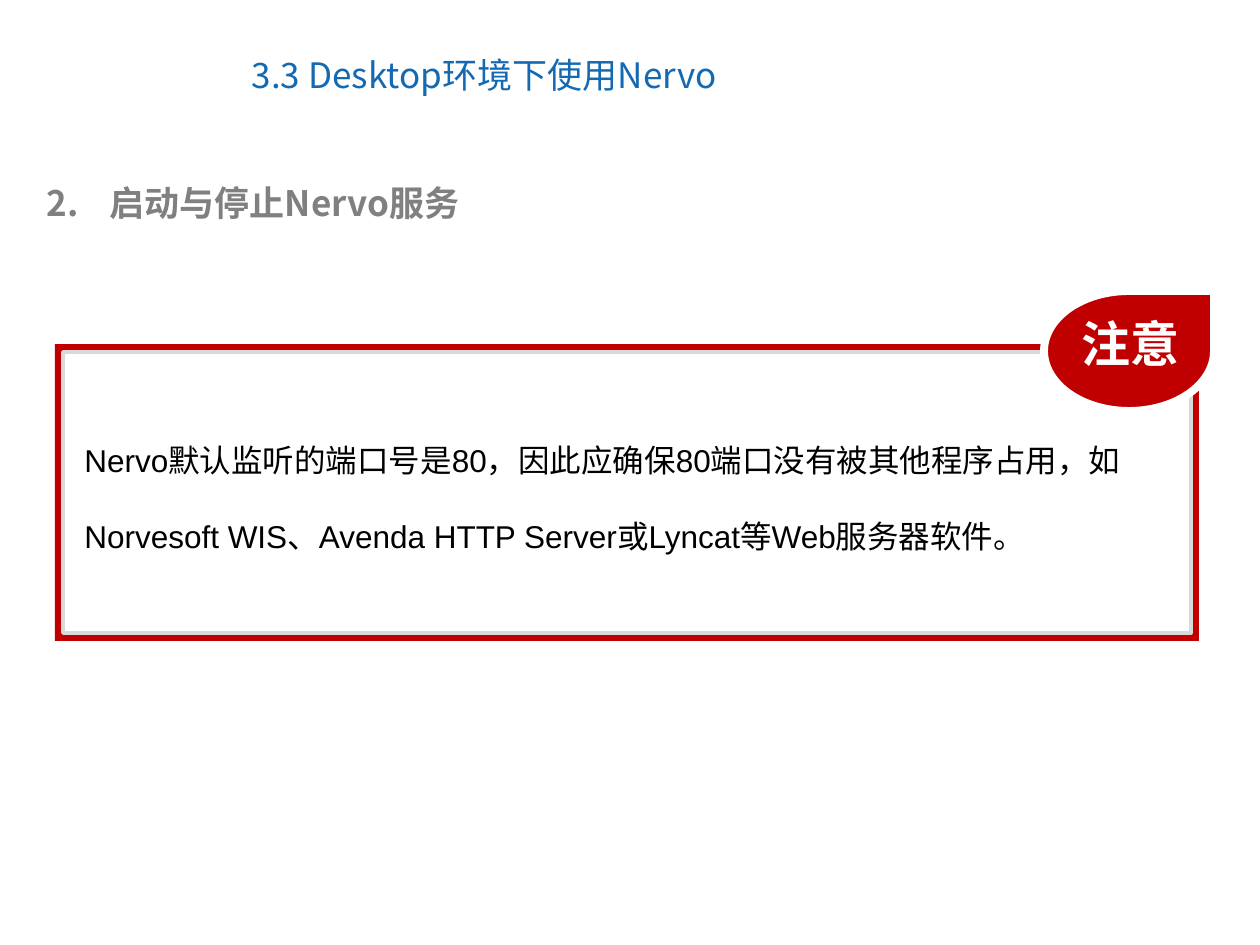
from lxml.etree import SubElement
from pptx import Presentation
from pptx.dml.color import RGBColor
from pptx.enum.shapes import MSO_SHAPE
from pptx.enum.text import MSO_ANCHOR, MSO_AUTO_SIZE, PP_ALIGN
from pptx.oxml.ns import qn
from pptx.util import Emu, Pt

EMU_PER_PX = 914400 / 126
CJK = "Noto Sans CJK SC"
COLORS = {
    "title": "1369B2",
    "heading": "808080",
    "alert": "C00000",
    "paper": "FFFFFF",
    "edge": "D9D9D9",
    "ink": "000000",
}


def px(length):
    return Emu(round(length * EMU_PER_PX))


def color(name):
    return RGBColor.from_string(COLORS[name])


def place(shape, left, top, width, height):
    shape.left, shape.top = px(left), px(top)
    shape.width, shape.height = px(width), px(height)


def write(frame, text, size, ink, font=CJK, bold=False, wrap=True):
    frame.word_wrap = wrap
    frame.auto_size = MSO_AUTO_SIZE.NONE
    paragraph = frame.paragraphs[0]
    paragraph.alignment = PP_ALIGN.LEFT
    paragraph.space_before = Pt(0)
    run = paragraph.add_run()
    run.text = text
    run.font.size = Pt(size)
    run.font.name = font
    run.font.bold = bold
    run.font.color.rgb = color(ink)
    SubElement(run._r.get_or_add_rPr(), qn("a:ea"), typeface=CJK)
    return paragraph


def add_filled(shapes, kind, box, fill, edge=None, weight=0):
    shape = shapes.add_shape(kind, *map(px, box))
    shape.shadow.inherit = False
    shape.fill.solid()
    shape.fill.fore_color.rgb = color(fill)
    if edge:
        shape.line.color.rgb = color(edge)
        shape.line.width = Pt(weight)
    else:
        shape.line.fill.background()


def add_title(slide, left, top, width, height):
    title = slide.shapes.title
    place(title, left, top, width, height)
    title.text_frame.vertical_anchor = MSO_ANCHOR.MIDDLE
    write(title.text_frame, "3.3 Desktop环境下使用Nervo", 20, "title")


def add_heading(slide, left, top, width, height, number):
    heading = slide.placeholders[1]
    place(heading, left, top, width, height)
    paragraph = write(heading.text_frame, "启动与停止Nervo服务", 20, "heading", bold=True)
    properties = paragraph._p.get_or_add_pPr()
    indent = px(63)
    properties.set("marL", str(indent))
    properties.set("indent", str(-indent))
    SubElement(properties, qn("a:buFont"), typeface="+mj-lt")
    SubElement(properties, qn("a:buAutoNum"), type="arabicPeriod", startAt=str(number))


def add_frame(slide, left, top, width, height, border):
    shapes = slide.shapes.add_group_shape().shapes
    add_filled(shapes, MSO_SHAPE.RECTANGLE, (left, top, width, height), "alert")
    inner = (left + border, top + border, width - 2 * border, height - 2 * border)
    add_filled(shapes, MSO_SHAPE.RECTANGLE, inner, "paper", "edge", 2)


def add_badge(slide, left, top, width, height):
    shapes = slide.shapes.add_group_shape().shapes
    add_filled(shapes, MSO_SHAPE.TEAR, (left, top, width, height), "alert", "paper", 4.5)
    label = shapes.add_textbox(px(left + 25), px(top + 16), px(125), px(72))
    write(label.text_frame, "注意", 28, "paper", bold=True, wrap=False)


def add_note(slide, left, top, width, height):
    add_frame(slide, left, top, width, height, 8)
    add_badge(slide, left + width - 155, top - 53, 170, 120)
    message = slide.shapes.add_textbox(px(left + 17), px(top + 53), px(width - 10), px(154))
    paragraph = write(
        message.text_frame,
        "Nervo默认监听的端口号是80，因此应确保80端口没有被其他程序占用，"
        "如Norvesoft WIS、Avenda HTTP Server或Lyncat等Web服务器软件。",
        18,
        "ink",
        font="Arial",
    )
    paragraph.line_spacing = 2.0


def main():
    deck = Presentation()
    deck.slide_width, deck.slide_height = px(1260), px(945)
    slide = deck.slides.add_slide(deck.slide_layouts[1])
    add_title(slide, 239, 21, 714, 107)
    add_heading(slide, 34, 175, 1162, 55, 2)
    add_note(slide, 55, 344, 1144, 297)
    deck.save("out.pptx")


if __name__ == "__main__":
    main()
